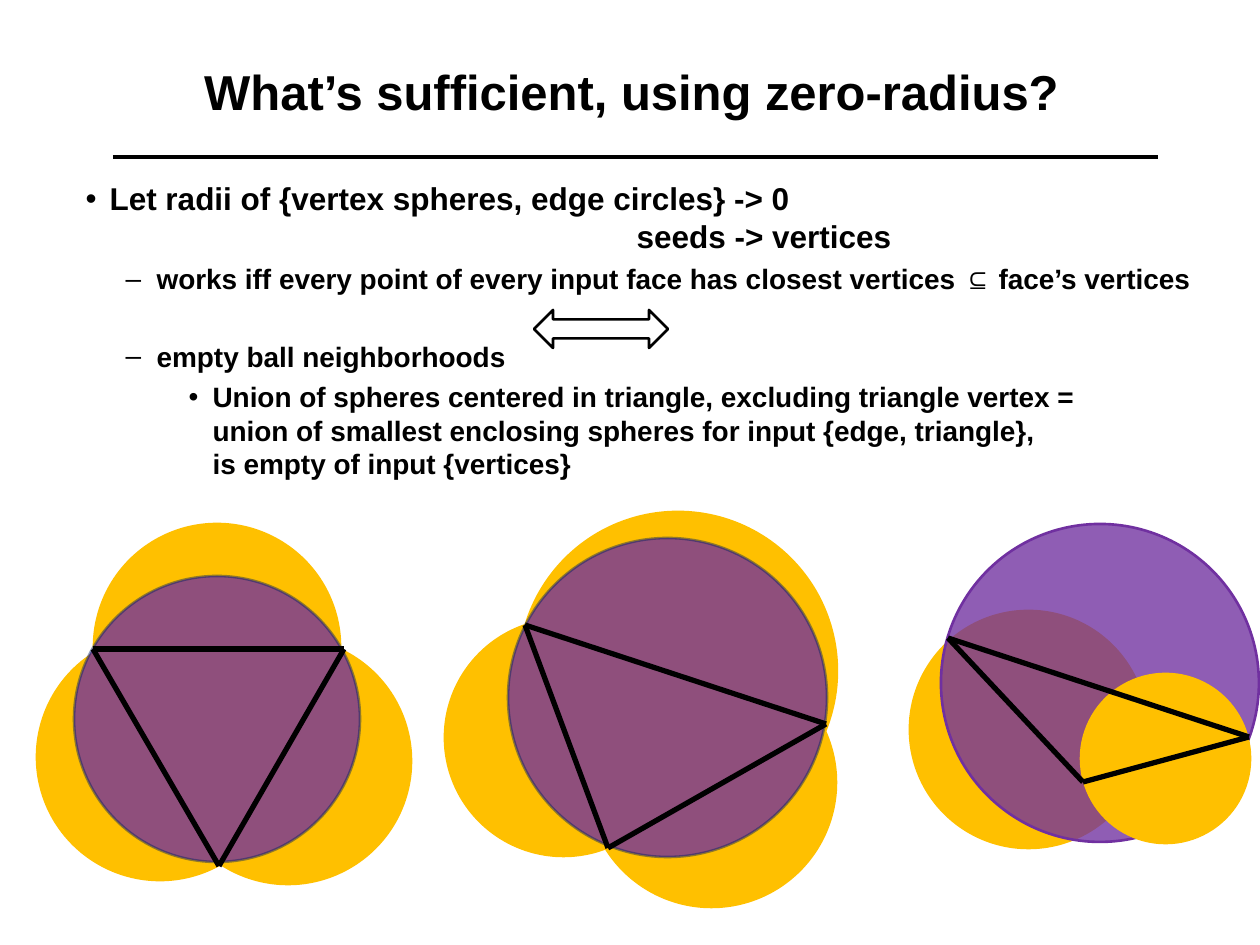
from dataclasses import dataclass
from itertools import combinations

from lxml import etree
from pptx import Presentation
from pptx.dml.color import RGBColor
from pptx.enum.shapes import MSO_CONNECTOR, MSO_SHAPE
from pptx.enum.text import MSO_ANCHOR, MSO_AUTO_SIZE, PP_ALIGN
from pptx.oxml.ns import qn
from pptx.util import Emu, Pt


@dataclass(frozen=True)
class Theme:
    font: str = "Arial"
    ink: str = "000000"
    gold: str = "FFC000"
    purple: str = "7030A0"
    navy: str = "002060"
    title: int = 28
    lead: int = 18
    detail: int = 16
    rule: float = 2
    outline: float = 1.5
    edge: float = 3
    ball_alpha: int = 78
    rim_alpha: int = 44


THEME = Theme()
PX_PER_INCH = 126


def px(length):
    return Emu(round(length * 914400 / PX_PER_INCH))


def apply(target, values):
    for key, value in values.items():
        setattr(target, key, value)


def place(shape, box):
    apply(shape, dict(zip(("left", "top", "width", "height"), map(px, box))))


def set_font(run, size):
    apply(run.font, {"name": THEME.font, "size": Pt(size), "bold": True})
    run.font.color.rgb = RGBColor.from_string(THEME.ink)


def set_frame(frame, anchor):
    apply(frame, {
        "word_wrap": True,
        "auto_size": MSO_AUTO_SIZE.NONE,
        "vertical_anchor": anchor,
        "margin_left": Emu(91440),
        "margin_right": Emu(91440),
        "margin_top": Emu(45720),
        "margin_bottom": Emu(45720),
    })


def set_line(line, color, width):
    line.color.rgb = RGBColor.from_string(color)
    line.width = Pt(width)


def set_alpha(fill_parent, percent):
    color = fill_parent.find(qn("a:solidFill")).find(qn("a:srgbClr"))
    etree.SubElement(color, qn("a:alpha"), val=str(percent * 1000))


def add_segment(shapes, start, end, width):
    segment = shapes.add_connector(
        MSO_CONNECTOR.STRAIGHT, *map(px, (*start, *end)))
    set_line(segment.line, THEME.ink, width)
    etree.SubElement(segment._element.spPr, qn("a:effectLst"))


def add_heading(slide, box):
    left, top, width, height = box
    heading = slide.shapes.title
    place(heading, box)
    set_frame(heading.text_frame, MSO_ANCHOR.MIDDLE)
    paragraph = heading.text_frame.paragraphs[0]
    paragraph.text = "What’s sufficient, using zero-radius?"
    paragraph.alignment = PP_ALIGN.CENTER
    set_font(paragraph.runs[0], THEME.title)
    add_segment(slide.shapes, (left + 17, top + 136),
                (left + 1062, top + 136), THEME.rule)


def set_bullet(paragraph, mark, margin, hanging):
    properties = paragraph._p.get_or_add_pPr()
    properties.set("marL", str(px(margin)))
    properties.set("indent", str(px(-hanging)))
    if mark:
        etree.SubElement(properties, qn("a:buFont"), typeface=THEME.font)
        etree.SubElement(properties, qn("a:buChar"), char=mark)
    else:
        etree.SubElement(properties, qn("a:buNone"))


def add_argument(slide, box):
    left, top, width, height = box
    argument = slide.placeholders[1]
    place(argument, box)
    frame = argument.text_frame
    set_frame(frame, MSO_ANCHOR.TOP)
    statements = [
        (0, "•", 47, 24, THEME.lead, 0,
         "Let radii of {vertex spheres, edge circles} -> 0"),
        (0, None, 574, 0, THEME.lead, 0, "seeds -> vertices"),
        (1, "–", 94, 31, THEME.detail, 4,
         "works iff every point of every input face has closest vertices "
         "⊆ face’s vertices"),
        (1, "–", 94, 31, THEME.detail, 25, "empty ball neighborhoods"),
        (2, "•", 150, 24, THEME.detail, 4,
         "Union of spheres centered in triangle, excluding triangle vertex ="
         "\vunion of smallest enclosing spheres for input {edge, triangle},"
         "\vis empty of input {vertices}"),
    ]
    for index, (level, mark, margin, hanging, size, gap, words) in enumerate(statements):
        paragraph = frame.add_paragraph() if index else frame.paragraphs[0]
        paragraph.text = words
        set_bullet(paragraph, mark, margin, hanging)
        apply(paragraph, {"level": level, "space_before": Pt(gap),
                          "space_after": Pt(0), "alignment": PP_ALIGN.LEFT})
        for run in paragraph.runs:
            set_font(run, size)

    equivalence = slide.shapes.add_shape(
        MSO_SHAPE.LEFT_RIGHT_ARROW,
        *map(px, (left + 484, top + 137, 134, 38)))
    equivalence.shadow.inherit = False
    equivalence.fill.background()
    set_line(equivalence.line, THEME.ink, THEME.outline)


def add_ball(shapes, box, fill, rim, fill_alpha=None, rim_alpha=None):
    ball = shapes.add_shape(MSO_SHAPE.OVAL, *map(px, box))
    ball.shadow.inherit = False
    ball.fill.solid()
    ball.fill.fore_color.rgb = RGBColor.from_string(fill)
    set_line(ball.line, rim, THEME.outline)
    properties = ball._element.spPr
    if fill_alpha:
        set_alpha(properties, fill_alpha)
    if rim_alpha:
        set_alpha(properties.find(qn("a:ln")), rim_alpha)


def add_triangle_balls(slide, origin, balls, vertices):
    left, top = origin
    shapes = slide.shapes.add_group_shape().shapes
    for x, y, diameter, style in balls:
        add_ball(shapes, (left + x, top + y, diameter, diameter), *style)
    corners = [(left + x, top + y) for x, y in vertices]
    for start, end in combinations(corners, 2):
        add_segment(shapes, start, end, THEME.edge)


def main():
    deck = Presentation()
    apply(deck, {"slide_width": px(1260), "slide_height": px(945)})
    slide = deck.slides.add_slide(deck.slide_layouts[1])
    add_heading(slide, (96, 21, 1071, 140))
    add_argument(slide, (50, 173, 1198, 630))

    edge_ball = (THEME.gold, THEME.gold)
    face_ball = (THEME.purple, THEME.navy, THEME.ball_alpha, THEME.rim_alpha)
    open_ball = (THEME.purple, THEME.purple, THEME.ball_alpha)
    add_triangle_balls(
        slide, (444, 510),
        [(1, 109, 237, edge_ball), (75, 2, 318, edge_ball),
         (143, 148, 249, edge_ball), (64, 28, 319, face_ball)],
        [(81, 115), (382, 214), (164, 338)])
    add_triangle_balls(
        slide, (909, 522),
        [(1, 89, 237, edge_ball), (32, 2, 318, open_ball),
         (172, 152, 169, edge_ball)],
        [(39, 116), (340, 215), (174, 260)])
    add_triangle_balls(
        slide, (35, 522),
        [(130, 116, 246, edge_ball), (2, 112, 246, edge_ball),
         (59, 2, 246, edge_ball), (39, 54, 286, face_ball)],
        [(58, 127), (309, 127), (184, 344)])
    deck.save("out.pptx")


if __name__ == "__main__":
    main()
